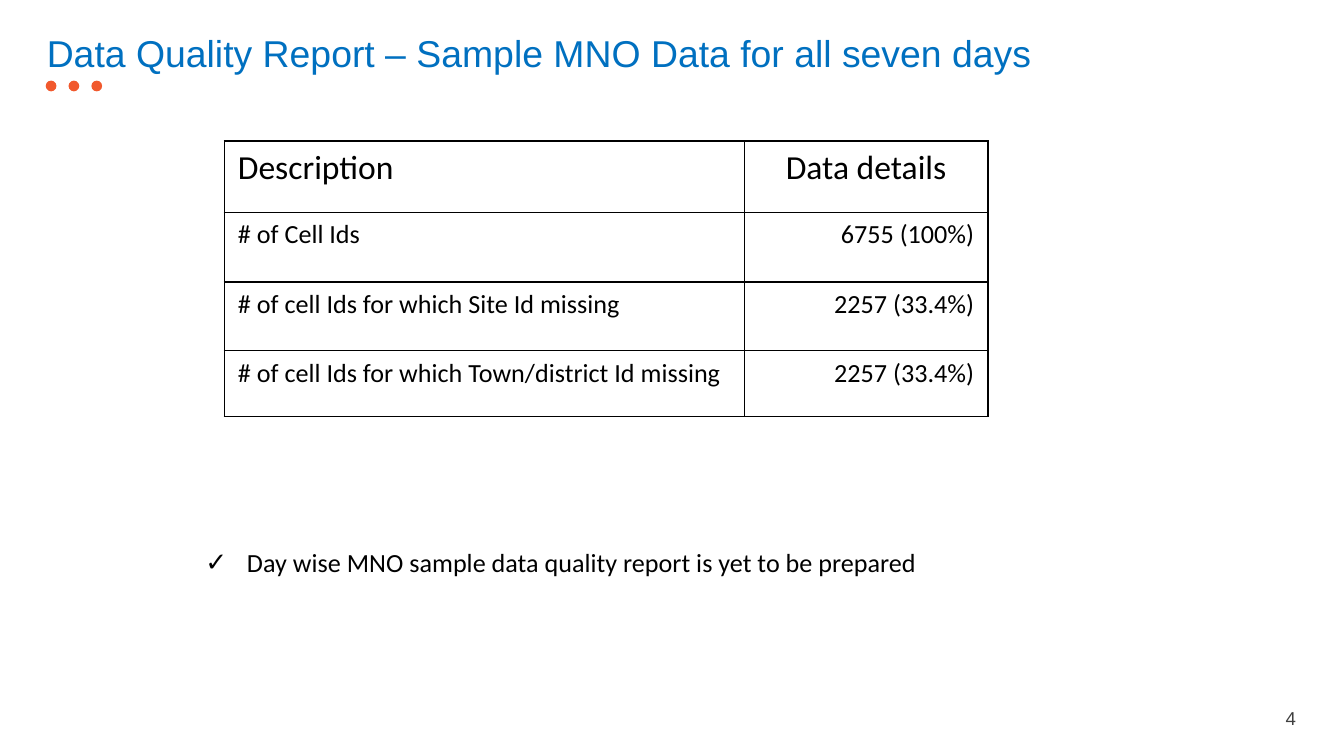
from dataclasses import dataclass

from lxml import etree
from pptx import Presentation
from pptx.dml.color import RGBColor
from pptx.enum.shapes import MSO_SHAPE
from pptx.enum.text import MSO_ANCHOR, PP_ALIGN
from pptx.oxml.ns import qn
from pptx.util import Inches, Pt

LEFT, CENTER, RIGHT = PP_ALIGN.LEFT, PP_ALIGN.CENTER, PP_ALIGN.RIGHT
TOP, MIDDLE = MSO_ANCHOR.TOP, MSO_ANCHOR.MIDDLE
OVAL = MSO_SHAPE.OVAL

BLUE = RGBColor(0x00, 0x70, 0xC0)
ORANGE = RGBColor(0xF1, 0x59, 0x2D)
GRAY = RGBColor(0x40, 0x40, 0x40)
BLACK = RGBColor(0x00, 0x00, 0x00)
WHITE = RGBColor(0xFF, 0xFF, 0xFF)

SLIDE_WIDTH = 10
SLIDE_HEIGHT = SLIDE_WIDTH * 9 / 16


@dataclass
class Style:
    font: str
    size: int
    color: RGBColor
    align: PP_ALIGN = LEFT


@dataclass
class Label:
    text: str
    left: float
    top: float
    width: float
    height: float
    style: Style
    anchor: MSO_ANCHOR = MIDDLE


@dataclass
class Row:
    description: str
    details: str
    height: float
    size: int = 14
    details_align: PP_ALIGN = RIGHT


TITLE = Label("Data Quality Report – Sample MNO Data for all seven days",
              0.25, 0.14, 9.54, 0.5, Style("Arial", 20, BLUE))
PAGE_NUMBER = Label("4", 9.23, 5.19, 0.51, 0.31, Style("Arial", 10, GRAY, RIGHT))
REMARK = Label("Day wise MNO sample data quality report is yet to be prepared",
               1.43, 4.02, 6.46, 0.34, Style("Calibri", 14, BLACK), TOP)
COLUMN_WIDTHS = (3.87, 1.81)
ROWS = (
    Row("Description", "Data details", 0.53, 18, CENTER),
    Row("# of Cell Ids", "6755 (100%)", 0.52),
    Row("# of cell Ids for which Site Id missing", "2257 (33.4%)", 0.51),
    Row("# of cell Ids for which Town/district Id missing", "2257 (33.4%)", 0.49),
)


def write(paragraph, text: str, style: Style) -> None:
    paragraph.alignment = style.align
    run = paragraph.add_run()
    run.text = text
    for name, value in {"name": style.font, "size": Pt(style.size)}.items():
        setattr(run.font, name, value)
    run.font.color.rgb = style.color


def add_label(slide, label: Label):
    box = slide.shapes.add_textbox(Inches(label.left), Inches(label.top),
                                   Inches(label.width), Inches(label.height))
    frame = box.text_frame
    for name, value in {"word_wrap": True, "vertical_anchor": label.anchor}.items():
        setattr(frame, name, value)
    write(frame.paragraphs[0], label.text, label.style)
    return frame.paragraphs[0]


def add_check_bullet(paragraph, indent: float) -> None:
    properties = paragraph._p.get_or_add_pPr()
    properties.set("marL", str(Inches(indent)))
    properties.set("indent", str(-Inches(indent)))
    etree.SubElement(properties, qn("a:buFont"), typeface="Arial")
    etree.SubElement(properties, qn("a:buChar"), char="✓")


def add_borders(cell) -> None:
    properties = cell._tc.get_or_add_tcPr()
    for position, side in enumerate(("lnL", "lnR", "lnT", "lnB")):
        line = etree.Element(qn(f"a:{side}"), w=str(Pt(1)))
        fill = etree.SubElement(line, qn("a:solidFill"))
        etree.SubElement(fill, qn("a:srgbClr"), val=str(BLACK))
        properties.insert(position, line)


def fill_cell(cell, text: str, style: Style) -> None:
    cell.fill.solid()
    cell.fill.fore_color.rgb = WHITE
    cell.vertical_anchor = TOP
    write(cell.text_frame.paragraphs[0], text, style)
    add_borders(cell)


def add_quality_table(slide, left: float, top: float) -> None:
    table = slide.shapes.add_table(
        len(ROWS), len(COLUMN_WIDTHS), Inches(left), Inches(top),
        Inches(sum(COLUMN_WIDTHS)), Inches(sum(row.height for row in ROWS))).table
    for column, width in zip(table.columns, COLUMN_WIDTHS):
        column.width = Inches(width)
    for index, row in enumerate(ROWS):
        table.rows[index].height = Inches(row.height)
        cells = ((row.description, LEFT), (row.details, row.details_align))
        for column, (text, align) in enumerate(cells):
            fill_cell(table.cell(index, column), text,
                      Style("Calibri", row.size, BLACK, align))


def add_dot(slide, left: float, top: float, diameter: float) -> None:
    dot = slide.shapes.add_shape(OVAL, Inches(left), Inches(top),
                                 Inches(diameter), Inches(diameter))
    dot.shadow.inherit = False
    dot.fill.solid()
    dot.fill.fore_color.rgb = ORANGE
    dot.line.fill.background()


def main() -> None:
    deck = Presentation()
    deck.slide_width, deck.slide_height = Inches(SLIDE_WIDTH), Inches(SLIDE_HEIGHT)
    slide = deck.slides.add_slide(deck.slide_layouts[6])

    # Heading with its row of dots
    for index in range(3):
        add_dot(slide, 0.34 + 0.17 * index, 0.6, 0.08)
    add_label(slide, TITLE)

    # Page number
    add_label(slide, PAGE_NUMBER)

    # Data quality figures
    add_quality_table(slide, 1.67, 1.05)

    # Remark with check mark
    add_check_bullet(add_label(slide, REMARK), 0.31)

    deck.save("out.pptx")


if __name__ == "__main__":
    main()
